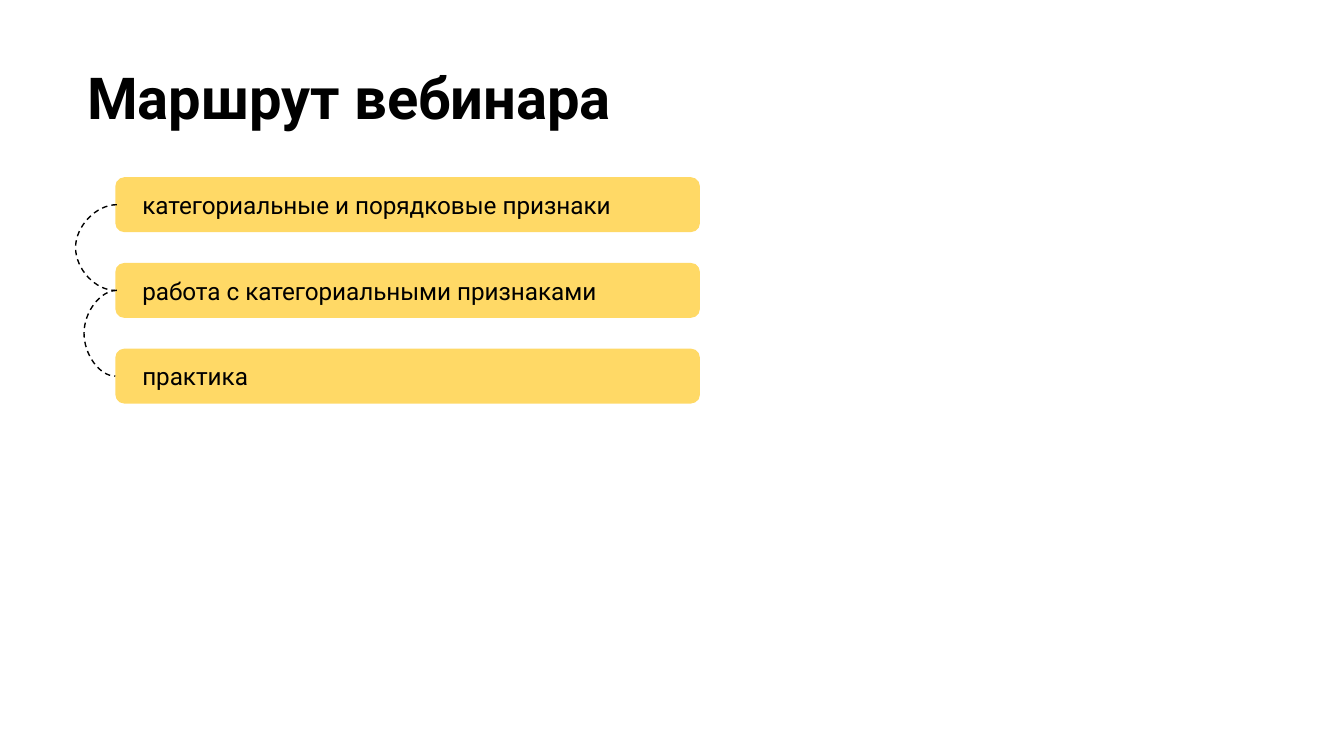
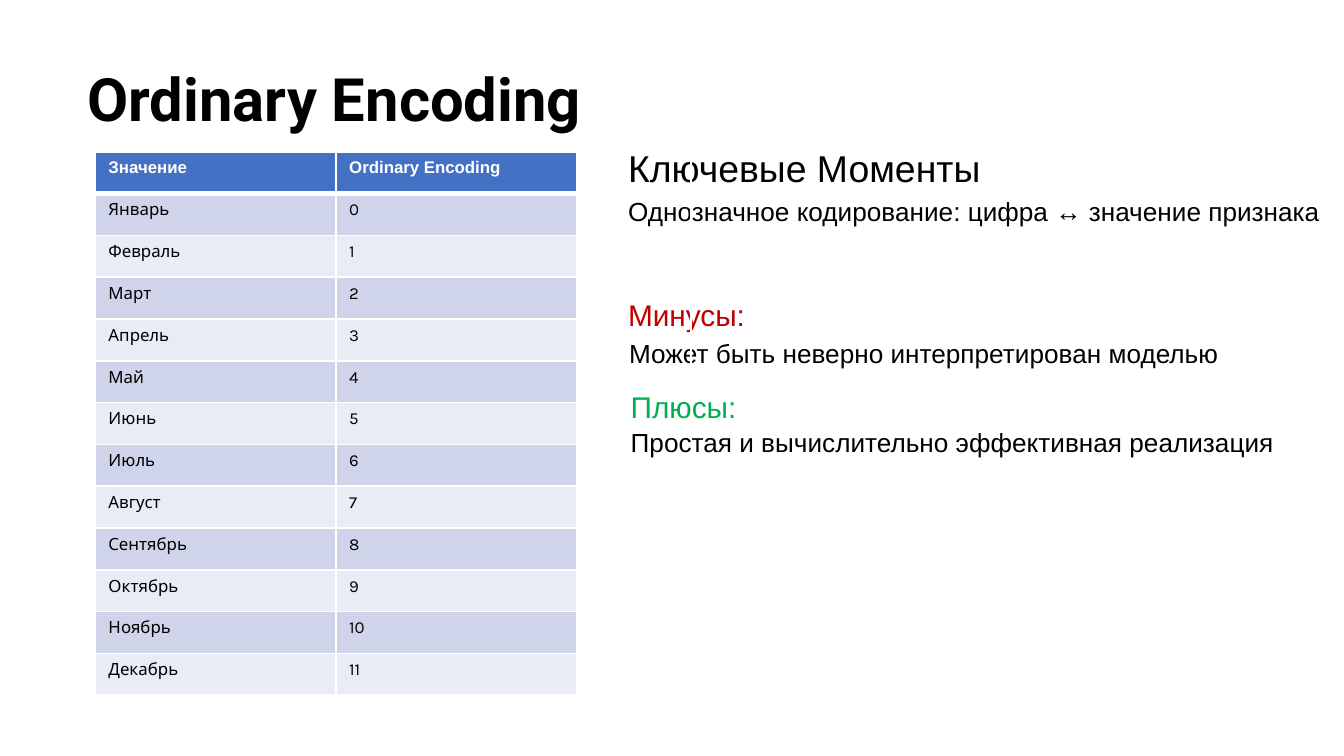
from lxml import etree
from pptx import Presentation
from pptx.dml.color import RGBColor
from pptx.enum import dml, shapes, text
from pptx.oxml import ns
from pptx.util import Cm, Pt

BLACK = RGBColor(0x00, 0x00, 0x00)
WHITE = RGBColor(0xFF, 0xFF, 0xFF)
YELLOW = RGBColor(0xFF, 0xD9, 0x66)
RED = RGBColor(0xC0, 0x00, 0x00)
GREEN = RGBColor(0x00, 0xB0, 0x50)
HEADER_BLUE = RGBColor(0x44, 0x71, 0xC4)
BANDS = (RGBColor(0xE9, 0xEB, 0xF5), RGBColor(0xCF, 0xD4, 0xEA))


def apply(target, values):
    for name, value in values.items():
        setattr(target, name, value)


def margins(left, top, right, bottom):
    return dict(margin_left=Cm(left), margin_top=Cm(top),
                margin_right=Cm(right), margin_bottom=Cm(bottom))


class Deck:
    """Holds the shared style and the slide being filled."""

    def __init__(self):
        self.prs = Presentation()
        self.prs.slide_width, self.prs.slide_height = Cm(25.4), Cm(14.29)
        self.slide = None

    def add_words(self, paragraph, words, font="Arial", size=14, color=BLACK, bold=False):
        paragraph.alignment = text.PP_ALIGN.LEFT
        run = paragraph.add_run()
        run.text = words
        apply(run.font, dict(name=font, size=Pt(size), bold=bold))
        run.font.color.rgb = color

    def new_slide(self, heading, size):
        self.slide = self.prs.slides.add_slide(self.prs.slide_layouts[5])
        title = self.slide.shapes.title
        apply(title, dict(left=Cm(1.4), top=Cm(0.91), width=Cm(23.67), height=Cm(3.05)))
        apply(title.text_frame, dict(
            margins(0.25, 0.25, 0.25, 0.25), word_wrap=True,
            auto_size=text.MSO_AUTO_SIZE.NONE, vertical_anchor=text.MSO_ANCHOR.TOP))
        self.add_words(title.text_frame.paragraphs[0], heading, "Roboto", size, bold=True)

    def bar(self, words, left, top, width, height):
        bar = self.slide.shapes.add_shape(
            shapes.MSO_SHAPE.ROUNDED_RECTANGLE, Cm(left), Cm(top), Cm(width), Cm(height))
        bar.shadow.inherit = False
        bar.fill.solid()
        bar.fill.fore_color.rgb = YELLOW
        bar.line.fill.background()
        apply(bar.text_frame, dict(margins(0.46, 0.25, 0.46, 0.25), word_wrap=True,
                                   vertical_anchor=text.MSO_ANCHOR.MIDDLE))
        self.add_words(bar.text_frame.paragraphs[0], words, "Roboto", 13)

    def arc(self, x, top, bottom, reach):
        """Dashed curve that bulges to the left of x by reach."""
        width = 0.03
        arc = self.slide.shapes.add_connector(
            shapes.MSO_CONNECTOR.CURVE, Cm(x + width), Cm(top), Cm(x), Cm(bottom))
        apply(arc.line, dict(width=Pt(0.75), dash_style=dml.MSO_LINE.DASH))
        arc.line.color.rgb = BLACK
        properties = arc._element.spPr
        etree.SubElement(properties, ns.qn("a:effectLst"))
        guides = properties.find(ns.qn("a:prstGeom")).find(ns.qn("a:avLst"))
        etree.SubElement(guides, ns.qn("a:gd"), name="adj1",
                         fmla=f"val {round(reach / width * 100000)}")

    def note(self, left, top, width, height, *lines):
        """Text box; each line is (words, size, colour, space before)."""
        frame = self.slide.shapes.add_textbox(
            Cm(left), Cm(top), Cm(width), Cm(height)).text_frame
        apply(frame, dict(margins(0.03, 0.03, 0, 0), word_wrap=True))
        for i, (words, size, color, gap) in enumerate(lines):
            paragraph = frame.add_paragraph() if i else frame.paragraphs[0]
            if gap:
                paragraph.space_before = Pt(gap)
            self.add_words(paragraph, words, size=size, color=color)

    def border(self, cell, top=1, bottom=1):
        properties = cell._tc.get_or_add_tcPr()
        for i, (side, width) in enumerate(dict(L=1, R=1, T=top, B=bottom).items()):
            line = etree.Element(ns.qn(f"a:ln{side}"), w=str(Pt(width)))
            fill = etree.SubElement(line, ns.qn("a:solidFill"))
            etree.SubElement(fill, ns.qn("a:srgbClr"), val=str(WHITE))
            properties.insert(i, line)

    def table(self, rows, left, top, widths, row_height):
        """Banded table with a blank column on either side."""
        table = self.slide.shapes.add_table(
            len(rows), len(widths), Cm(left), Cm(top),
            Cm(sum(widths)), Cm(row_height * len(rows))).table
        apply(table, dict(first_row=False, horz_banding=False))
        for column, width in zip(table.columns, widths):
            column.width = Cm(width)
        for r, row in enumerate(rows):
            for c, words in enumerate(("", *row, "")):
                cell = table.cell(r, c)
                apply(cell, margins(0.25 if words else 0, 0.13 if words else 0, 0, 0))
                if not words:
                    cell.fill.background()
                else:
                    cell.fill.solid()
                    cell.fill.fore_color.rgb = BANDS[r % 2] if r else HEADER_BLUE
                    style = ("Karla", 9, BLACK) if r else ("Arial", 9, WHITE, True)
                    self.add_words(cell.text_frame.paragraphs[0], words, *style)
                self.border(cell, top=3 if words and r == 1 else 1,
                            bottom=3 if words and r == 0 else 1)
        for c in (0, len(widths) - 1):
            table.cell(0, c).merge(table.cell(len(rows) - 2, c))


def webinar_route(deck):
    deck.new_slide("Маршрут вебинара", 31)
    topics = ("категориальные и порядковые признаки",
              "работа с категориальными признаками",
              "практика")
    left, top, height, pitch = 2.18, 3.35, 1.04, 1.62
    for i, topic in enumerate(topics):
        deck.bar(topic, left, top + i * pitch, 11.05, height)
    for i, reach in enumerate((0.78, 0.62)):
        start = top + height / 2 + i * pitch
        deck.arc(left, start, start + pitch, reach)


def ordinary_encoding(deck):
    deck.new_slide("Ordinary Encoding", 32)

    # Key points and drawbacks
    deck.note(11.84, 2.72, 9.4, 0.89, ("Ключевые Моменты", 20, BLACK, 0))
    deck.note(11.84, 3.66, 13.36, 2.69,
              ("Однозначное кодирование: цифра ↔ значение признака", 14, BLACK, 0),
              ("Минусы:", 16, RED, 37.5))
    deck.note(11.86, 6.35, 12.52, 0.64,
              ("Может быть неверно интерпретирован моделью", 14, BLACK, 0))

    # Month codes
    months = ("Январь", "Февраль", "Март", "Апрель", "Май", "Июнь", "Июль",
              "Август", "Сентябрь", "Октябрь", "Ноябрь", "Декабрь")
    rows = [("Значение", "Ordinary Encoding")]
    rows += [(month, str(code)) for code, month in enumerate(months)]
    deck.table(rows, 0.88, 2.87, (0.92, 4.55, 4.55, 2.16), 0.79)

    # Advantages
    deck.note(11.89, 7.32, 3.84, 0.71, ("Плюсы:", 16, GREEN, 0))
    deck.note(11.89, 8.03, 12.65, 0.64,
              ("Простая и вычислительно эффективная реализация", 14, BLACK, 0))


def main():
    deck = Deck()
    webinar_route(deck)
    ordinary_encoding(deck)
    deck.prs.save("out.pptx")


if __name__ == "__main__":
    main()
